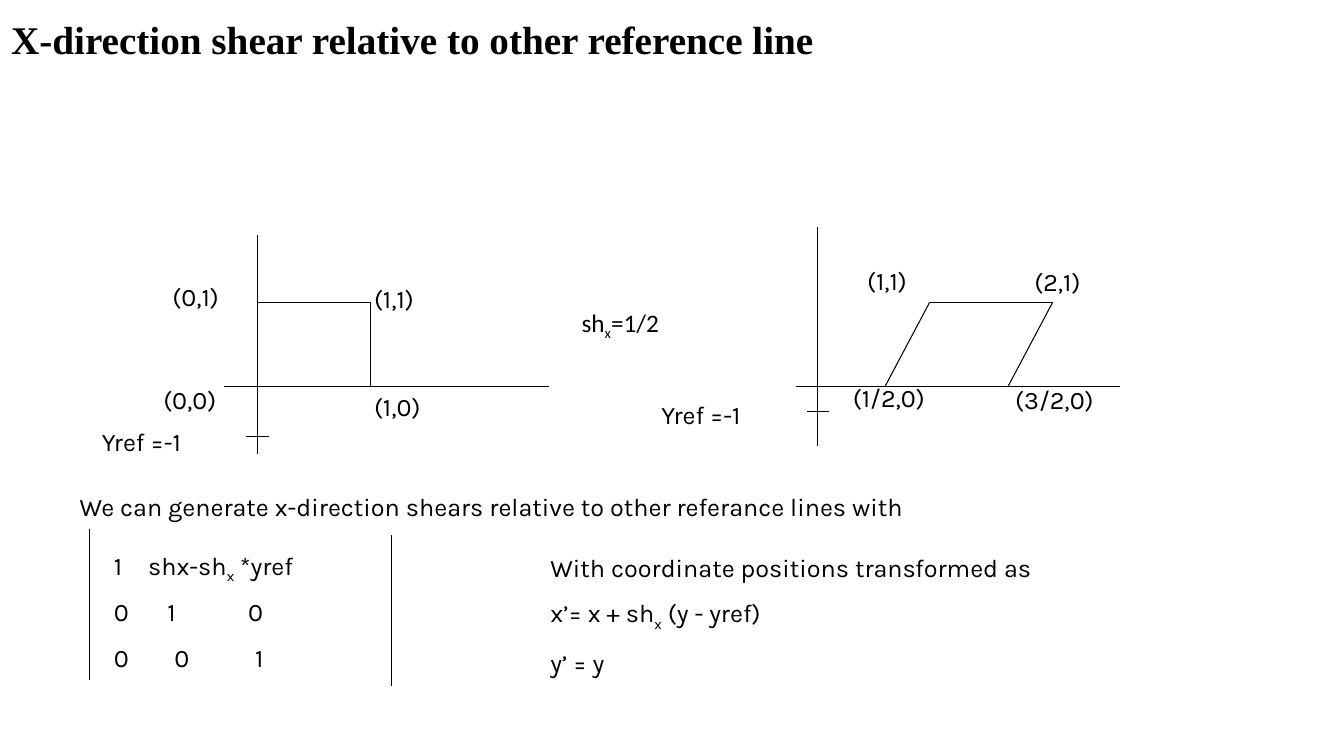
import dataclasses

import lxml.etree
import pptx
import pptx.dml.color
import pptx.enum.shapes
import pptx.enum.text
import pptx.oxml.ns
import pptx.util

PX = 9144
WRAP_INSETS = dict(left=0, top=1, right=0, bottom=0)


@dataclasses.dataclass(frozen=True)
class Theme:
    """Colours, fonts and type sizes of the slide."""
    ink: pptx.dml.color.RGBColor = pptx.dml.color.RGBColor(0, 0, 0)
    title_font: str = "Times New Roman"
    body_font: str = "Karla"
    factor_font: str = "Calibri"
    title_size: int = 28
    body_size: int = 18
    line_width: float = 0.75


THEME = Theme()


def px(length):
    """Turn whole px into EMU."""
    return pptx.util.Emu(length * PX)


def apply(target, values):
    """Set each attribute of the target from a dict."""
    for name, value in values.items():
        setattr(target, name, value)


def style_font(font, name, size, bold=False):
    """Give a font its face, size, weight and ink."""
    apply(font, dict(name=name, size=pptx.util.Pt(size), bold=bold))
    font.color.rgb = THEME.ink


def style_line(line):
    """Give an outline the thin ink stroke."""
    line.color.rgb = THEME.ink
    line.width = pptx.util.Pt(THEME.line_width)


def set_tabs(paragraph, stops):
    """Add left tab stops, in px, to a paragraph."""
    properties = paragraph._p.get_or_add_pPr()
    tabs = lxml.etree.SubElement(properties, pptx.oxml.ns.qn("a:tabLst"))
    for stop in stops:
        lxml.etree.SubElement(tabs, pptx.oxml.ns.qn("a:tab"), pos=str(px(stop)), algn="l")


def add_runs(paragraph, text, font):
    """Write text whose parts between tildes are subscripts."""
    for index, part in enumerate(text.split("~")):
        if part:
            run = paragraph.add_run()
            run.text = part
            style_font(run.font, font, THEME.body_size)
            if index % 2:
                run._r.get_or_add_rPr().set("baseline", "-25000")


def add_text(slide, left, top, width, height, rows, font=THEME.body_font,
             insets=WRAP_INSETS, gap=0):
    """Add a text box of (text, indent, tab stops) rows."""
    frame = slide.shapes.add_textbox(px(left), px(top), px(width), px(height)).text_frame
    apply(frame, {f"margin_{side}": px(inset) for side, inset in insets.items()})
    apply(frame, dict(word_wrap=True,
                      auto_size=pptx.enum.text.MSO_AUTO_SIZE.SHAPE_TO_FIT_TEXT))
    for index, (text, indent, stops) in enumerate(rows):
        paragraph = frame.add_paragraph() if index else frame.paragraphs[0]
        paragraph._p.get_or_add_pPr().set("marL", str(px(indent)))
        if index:
            paragraph.space_before = pptx.util.Pt(gap)
        if stops:
            set_tabs(paragraph, stops)
        add_runs(paragraph, text, font)


def add_label(slide, left, top, width, text):
    """Add a one-line label."""
    add_text(slide, left, top, width, 32, [(text, 1, ())])


def add_rule(slide, x1, y1, x2, y2):
    """Add a thin straight line."""
    rule = slide.shapes.add_connector(
        pptx.enum.shapes.MSO_CONNECTOR.STRAIGHT, px(x1), px(y1), px(x2), px(y2))
    style_line(rule.line)
    lxml.etree.SubElement(rule._element.spPr, pptx.oxml.ns.qn("a:effectLst"))


def add_strokes(slide, strokes, close=False):
    """Add one unfilled outline made of several strokes."""
    builder = slide.shapes.build_freeform(*strokes[0][0], scale=PX)
    for index, (start, *rest) in enumerate(strokes):
        if index:
            builder.move_to(*start)
        builder.add_line_segments(rest, close=close)
    outline = builder.convert_to_shape()
    outline.shadow.inherit = False
    outline.fill.background()
    style_line(outline.line)


def axes(axis_x, axis_top, left):
    """Return the strokes of a vertical and a horizontal axis."""
    return [[(axis_x, axis_top), (axis_x, axis_top + 217)],
            [(left, 383), (left + 322, 383)]]


def add_title(slide, text):
    """Fill, place and format the title."""
    title = slide.shapes.title
    apply(title, dict(left=px(11), top=px(15), width=px(1311), height=px(136)))
    frame = title.text_frame
    frame.text = text
    apply(frame, dict(margin_left=0, margin_top=0, margin_right=0, margin_bottom=0,
                      word_wrap=True, vertical_anchor=pptx.enum.text.MSO_ANCHOR.TOP))
    paragraph = frame.paragraphs[0]
    paragraph.alignment = pptx.enum.text.PP_ALIGN.LEFT
    style_font(paragraph.runs[0].font, THEME.title_font, THEME.title_size, True)


def main():
    """Build the shear slide."""
    deck = pptx.Presentation()
    apply(deck, dict(slide_width=px(1333), slide_height=px(750)))
    slide = deck.slides.add_slide(deck.slide_layouts[5])
    add_title(slide, "X-direction shear relative to other reference line")

    add_strokes(slide, axes(axis_x=255, axis_top=233, left=222))
    add_strokes(slide, [[(255, 383), (367, 383), (367, 300), (255, 300)]], close=True)
    add_rule(slide, 244, 433, 267, 433)
    sheared_sides = [[(922, 300), (1044, 300)],
                     [(922, 300), (878, 383)],
                     [(1044, 300), (1000, 383)]]
    reference_tick = [(822, 408), (800, 408)]
    add_strokes(slide, axes(axis_x=811, axis_top=225, left=789)
                + sheared_sides + [reference_tick])

    for left, top, width, text in (
        (655, 395, 123, "Yref =-1"),
        (170, 278, 72, "(0,1)"),
        (370, 280, 72, "(1,1)"),
        (370, 387, 72, "(1,0)"),
        (859, 262, 72, "(1,1)"),
        (1025, 263, 72, "(2,1)"),
        (1006, 380, 100, "(3/2,0)"),
        (845, 378, 100, "(1/2,0)"),
        (78, 486, 1064, "We can generate x-direction shears relative to other referance lines with"),
    ):
        add_label(slide, left, top, width, text)
    add_text(slide, 100, 368, 153, 85, [("(0,0)", 62, ()), ("Yref =-1", 1, ())],
             insets=dict(WRAP_INSETS, top=13), gap=8.4)
    add_text(slide, 567, 300, 144, 40, [("sh~x~=1/2", 0, ())], font=THEME.factor_font,
             insets=dict(left=10, top=5, right=10, bottom=5))

    add_rule(slide, 89, 525, 89, 675)
    add_rule(slide, 388, 531, 388, 681)
    add_text(slide, 112, 545, 366, 32, [("1\tshx-sh~x~ *yref", 1, (34,))])
    spaced = dict(insets=dict(WRAP_INSETS, top=16), gap=10.8)
    add_text(slide, 112, 576, 255, 93,
             [("0\t1\t0", 1, (53, 133)), ("0\t0\t1", 1, (60, 140))], **spaced)
    add_text(slide, 545, 532, 607, 138, [
        ("With coordinate positions transformed as", 1, ()),
        ("x’= x + sh~x~ (y - yref)", 1, ()),
        ("y’ = y", 1, ()),
    ], **spaced)
    deck.save("out.pptx")


if __name__ == "__main__":
    main()
